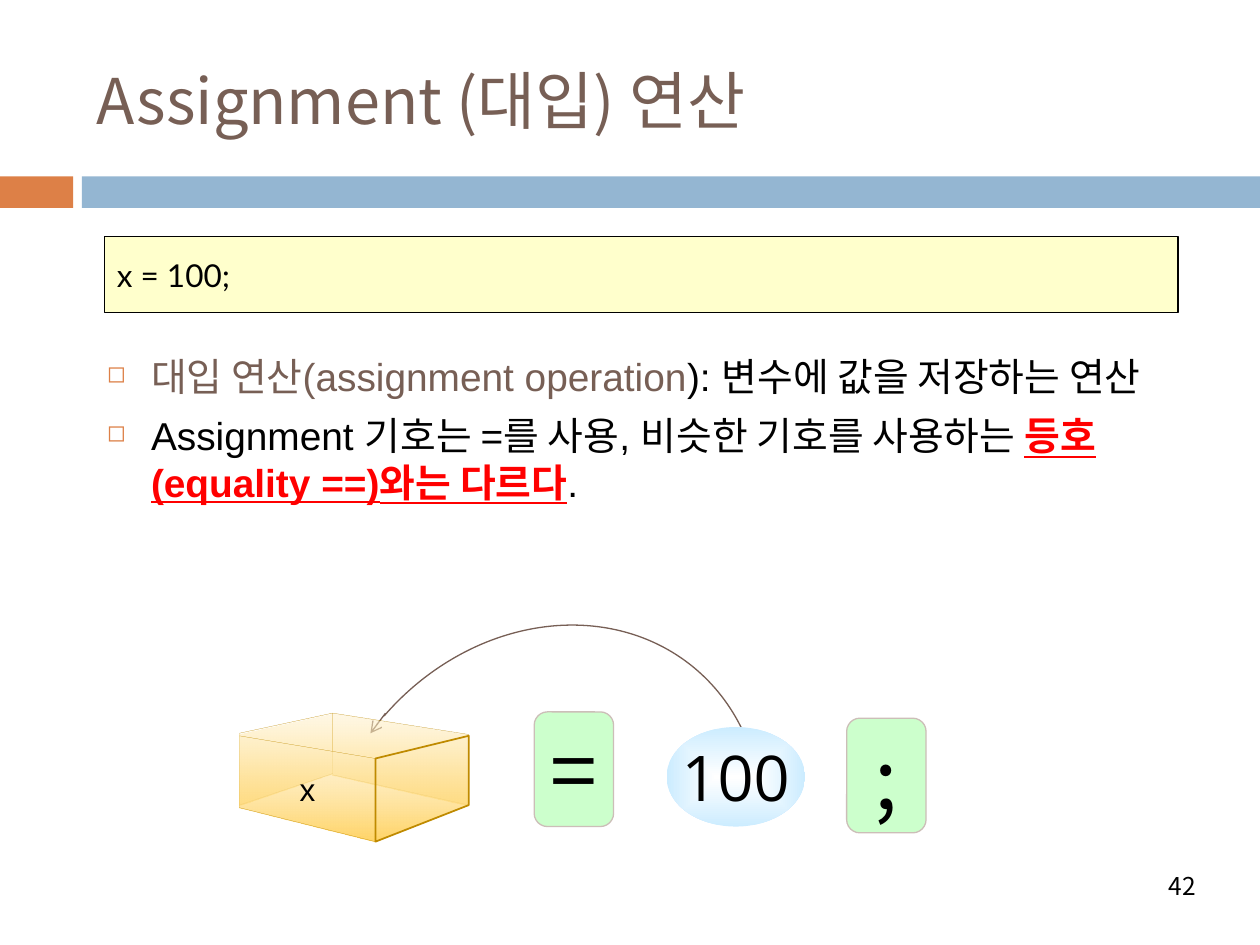
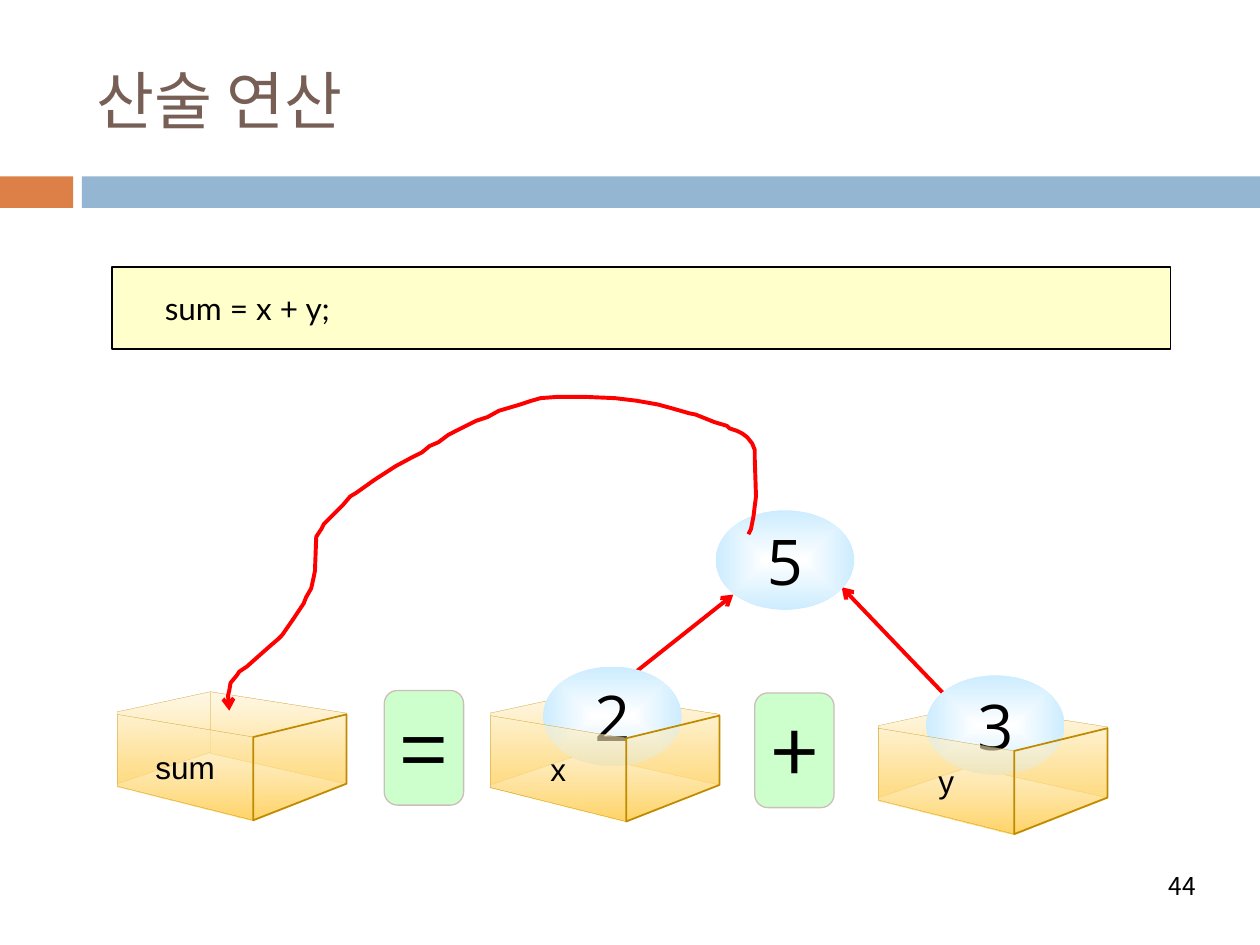
from lxml import etree
from pptx import Presentation
from pptx.dml.color import RGBColor
from pptx.enum.shapes import MSO_CONNECTOR, MSO_SHAPE
from pptx.enum.text import MSO_ANCHOR, PP_ALIGN
from pptx.oxml import parse_xml
from pptx.oxml.ns import nsdecls, qn
from pptx.util import Inches, Pt

RECT, ROUND = MSO_SHAPE.RECTANGLE, MSO_SHAPE.ROUNDED_RECTANGLE
OVAL, ARC = MSO_SHAPE.OVAL, MSO_SHAPE.ARC
STRAIGHT = MSO_CONNECTOR.STRAIGHT
LEFT, CENTER, RIGHT = PP_ALIGN.LEFT, PP_ALIGN.CENTER, PP_ALIGN.RIGHT
TOP, MIDDLE = MSO_ANCHOR.TOP, MSO_ANCHOR.MIDDLE

# The slide is a grid of 100 columns by 75 rows of square cells.
COLS, ROWS = 100, 75
CELL = Inches(0.1)

KOREAN, CODE, BODY, NUMBER = "Noto Sans CJK KR", "Lato", "Arial", "Open Sans"
COLORS = {
    "ink": "000000", "title": "775F55", "accent": "DD8047", "band": "94B6D2",
    "code": "FFFFCC", "tile": "CCFFCC", "tile_edge": "CCBEB8",
    "box_edge": "BF8A00", "red": "FF0000", "box_top": "FFF1CC",
    "box_bottom": "FFD466", "number_core": "FFFFFF", "number_rim": "CCECFF",
}
GRADIENTS = {
    "box": ("box_top", 50, "box_bottom", '<a:lin ang="5400000" scaled="0"/>'),
    "number": ("number_core", 100, "number_rim",
               '<a:path path="shape"><a:fillToRect l="50000" t="50000" '
               'r="50000" b="50000"/></a:path>'),
}


def add(s, kind, at, fill=None, line=None, width=0.75, closed=True):
    """Add a preset shape, a text box (kind None) or an outline (kind a list of points)."""
    if isinstance(kind, list):
        left, top = at
        points = [(10 * (left + x), 10 * (top + y)) for x, y in kind]
        outline = s.shapes.build_freeform(*points[0], scale=CELL / 10)
        outline.add_line_segments(points[1:], close=closed)
        sp = outline.convert_to_shape()
    else:
        box = [int(v * CELL) for v in at]
        sp = s.shapes.add_shape(kind, *box) if kind else s.shapes.add_textbox(*box)
    sp.shadow.inherit = False
    if fill in COLORS:
        sp.fill.solid()
        sp.fill.fore_color.rgb = RGBColor.from_string(COLORS[fill])
    else:
        sp.fill.background()
    if fill in GRADIENTS:
        first, opacity, last, direction = GRADIENTS[fill]
        no_fill = sp._element.spPr.find(qn("a:noFill"))
        sp._element.spPr.replace(no_fill, parse_xml(
            f'<a:gradFill {nsdecls("a")} rotWithShape="1"><a:gsLst>'
            f'<a:gs pos="0"><a:srgbClr val="{COLORS[first]}">'
            f'<a:alpha val="{opacity * 1000}"/></a:srgbClr></a:gs>'
            f'<a:gs pos="100000"><a:srgbClr val="{COLORS[last]}"/></a:gs>'
            f'</a:gsLst>{direction}</a:gradFill>'))
    if line:
        sp.line.color.rgb = RGBColor.from_string(COLORS[line])
        sp.line.width = Pt(width)
    else:
        sp.line.fill.background()
    return sp


def write(sp, text, font, size, color="ink", align=CENTER, anchor=MIDDLE, wrap=True):
    """Fill a shape with a string, or with paragraphs given as lists of (text, color, strong)."""
    paragraphs = [[(text, color, False)]] if isinstance(text, str) else text
    tf = sp.text_frame
    tf.word_wrap = wrap
    tf.vertical_anchor = anchor
    for i, runs in enumerate(paragraphs):
        p = tf.add_paragraph() if i else tf.paragraphs[0]
        p.alignment = align
        for words, run_color, strong in runs:
            r = p.add_run()
            r.text = words
            r.font.name = font
            r.font.size = Pt(size)
            r.font.color.rgb = RGBColor.from_string(COLORS[run_color])
            if strong:
                r.font.bold = r.font.underline = True
            ea = etree.SubElement(r._r.get_or_add_rPr(), qn("a:ea"))
            ea.set("typeface", KOREAN)
    return tf


prs = Presentation()
prs.slide_width, prs.slide_height = COLS * CELL, ROWS * CELL

# Title, bands, code line and page number
PAGES = [
    ("Assignment (대입) 연산", "x = 100;", (8.3, 18.8, 85.2, 6), 0, "42"),
    ("산술 연산", "sum = x + y;", (8.9, 21.2, 84, 6.5), 3.2, "44"),
]
slides = []
for title, code, code_at, code_indent, page in PAGES:
    s = prs.slides.add_slide(prs.slide_layouts[6])
    slides.append(s)
    add(s, RECT, (0, 14, 5.8, 2.5), "accent")
    add(s, RECT, (6.5, 14, COLS - 6.5, 2.5), "band")
    write(add(s, None, (6.7, 2.5, 89.2, 10.8)), title, KOREAN, 36, "title", LEFT)
    tf = write(add(s, RECT, code_at, "code", "ink"), code, CODE, 18, align=LEFT)
    tf.paragraphs[0]._p.get_or_add_pPr().set("marL", str(int(code_indent * CELL)))
    write(add(s, None, (68.1, 68.3, 27.8, 4)), page, KOREAN, 14, align=RIGHT)
assignment, arithmetic = slides

# Explanation of the assignment
EXPLANATION = [
    [("대입 연산(assignment operation", "title", False),
     ("): 변수에 값을 저장하는 연산", "ink", False)],
    [("Assignment 기호는 =를 사용, 비슷한 기호를 사용하는 ", "ink", False),
     ("등호(equality ==)와는 다르다", "red", True), (".", "ink", False)],
]
tf = write(add(assignment, None, (7.5, 27.5, 89.8, 14.8)), EXPLANATION, BODY, 22.2,
           align=LEFT, anchor=TOP)
for p in tf.paragraphs:
    p.space_before = Pt(7)
    p.line_spacing = Pt(26.7)
    pPr = p._p.get_or_add_pPr()
    pPr.set("marL", str(int(3.5 * CELL)))
    pPr.set("indent", str(int(-3.5 * CELL)))
    color = etree.SubElement(pPr, qn("a:buClr"))
    etree.SubElement(color, qn("a:srgbClr")).set("val", COLORS["accent"])
    etree.SubElement(pPr, qn("a:buSzPct")).set("val", "60000")
    etree.SubElement(pPr, qn("a:buChar")).set("char", "◻")

# Straight arrows, and the arc from the value to its variable
arc = add(assignment, ARC, (23.8, 51.2, 38.2, 33), line="title")
arc.rotation = 309.6
arc.adjustments[0], arc.adjustments[1] = 162.97, 11.43

ARROWS = [
    (assignment, (30.6, 56.6, 29.4, 58.2), "title", 0.75),
    (arithmetic, (75.8, 56, 66.8, 46.6), "red", 2.25),
    (arithmetic, (48.6, 54.8, 58.2, 47.2), "red", 2.25),
]
arrows = []
for s, ends, color, width in ARROWS:
    arrow = s.shapes.add_connector(STRAIGHT, *[int(v * CELL) for v in ends])
    arrow.line.color.rgb = RGBColor.from_string(COLORS[color])
    arrow.line.width = Pt(width)
    etree.SubElement(arrow._element.spPr, qn("a:effectLst"))
    arrows.append(arrow)

# Operator tiles
TILES = [
    (assignment, "=", 42.4, 56.5), (assignment, ";", 67.2, 57),
    (arithmetic, "=", 30.5, 54.8), (arithmetic, "+", 59.9, 55),
]
for s, sign, left, top in TILES:
    write(add(s, ROUND, (left, top, 6.3, 9.1), "tile", "tile_edge"), sign, KOREAN, 48)

# Variable boxes: two back panels, the value lying inside, two front panels
BACK_PANELS = [
    [(7.4, 0), (7.4, 4.9), (18.2, 7.3), (18.2, 1.7)],
    [(0, 7.3), (7.4, 4.8), (7.4, 0), (0, 1.6)],
]
FRONT_PANEL = [(0, 1.8), (0, 7.5), (10.8, 10.2), (10.8, 3.6)]
SIDE_PANEL = [(10.8, 10.2), (18.2, 7.3), (18.2, 1.8), (10.8, 3.6)]
# slide, variable name, left and top of the box, value, left and top of the value
VARIABLES = [
    (assignment, "x", (19, 56.6), "100", (52.9, 57.7)),
    (arithmetic, "sum", (9.3, 54.9), "5", (56.8, 40.5)),
    (arithmetic, "x", (38.9, 55), "2", (43.1, 52.9)),
    (arithmetic, "y", (69.7, 56), "3", (73.5, 53.6)),
]
for s, name, at, value, value_at in VARIABLES:
    for panel in BACK_PANELS:
        add(s, panel, at, "box", "box_edge", 0.1)
    write(add(s, OVAL, (*value_at, 11, 7.9), "number"), value, NUMBER, 36, wrap=False)
    write(add(s, FRONT_PANEL, at, "box", "box_edge", 0.1), name, BODY, 18)
    add(s, SIDE_PANEL, at, "box", "box_edge", 1)

# Hand-drawn path from the result down to sum
RESULT_PATH = [
    (59.4, 42.4), (59.6, 42), (59.8, 41), (59.9, 40.2), (60, 39.4), (59.9, 36.3),
    (59.9, 35.7), (59.7, 35.2), (59.3, 34.7), (58.9, 34.4), (58.5, 34.2), (57.9, 34),
    (57.7, 33.8), (56.7, 33.5), (55.2, 32.9), (54.7, 32.8), (53.3, 32.4), (52.2, 32.1),
    (50.5, 31.8), (48.8, 31.6), (46.5, 31.5), (44.2, 31.5), (42.9, 31.6), (42.2, 31.8),
    (41.3, 32.1), (39.6, 32.6), (38.7, 33.1), (37.8, 33.4), (36.2, 34.2), (35.6, 34.5),
    (34.8, 35.1), (34.1, 35.4), (33.5, 35.9), (32.7, 36.3), (31.4, 37), (29.7, 38.1),
    (28.3, 39.1), (27.8, 39.4), (27.2, 40.1), (26.2, 41.1), (25.7, 41.6), (25.5, 42),
    (25.1, 42.6), (25, 45.3), (24.9, 45.8), (24.7, 46.7), (24.3, 47.4), (24.1, 47.9),
    (23.3, 49.1), (22.4, 50.4), (22.1, 50.7), (21.4, 51.3), (20.5, 52.1), (19.6, 52.9),
    (19, 53.3), (18.8, 53.6), (18.3, 54.2), (18.2, 54.8), (18.1, 55.2), (18.2, 56.4),
]
arrows.append(add(arithmetic, RESULT_PATH, (0, 0), line="red", width=2.25, closed=False))

for arrow in arrows:
    etree.SubElement(arrow.line._get_or_add_ln(), qn("a:tailEnd")).set("type", "arrow")

prs.save("out.pptx")
